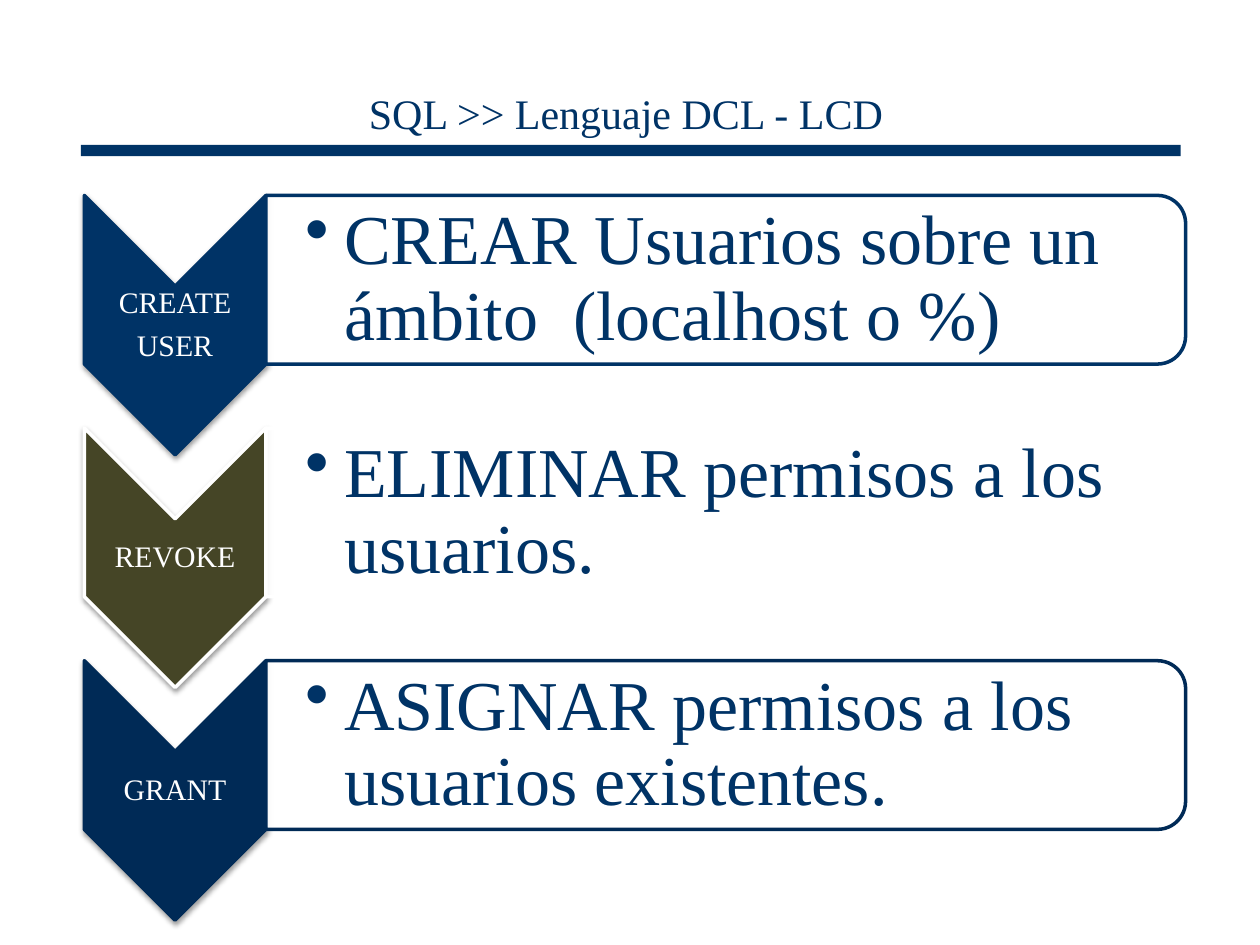
from pptx import Presentation
from pptx.dml.color import RGBColor
from pptx.enum.shapes import MSO_SHAPE
from pptx.enum.text import MSO_ANCHOR, MSO_AUTO_SIZE, PP_ALIGN
from pptx.oxml import parse_xml
from pptx.oxml.ns import nsdecls, qn
from pptx.util import Cm, Pt

TITLE = "SQL >> Lenguaje DCL - LCD"
COMMANDS = [
    (["CREATE", "USER"], "CREAR Usuarios sobre un ámbito  (localhost o %)", "navy", "navy"),
    (["REVOKE"], "ELIMINAR permisos a los usuarios.", "olive", "white"),
    (["GRANT"], "ASIGNAR permisos a los usuarios existentes.", "midnight", "midnight"),
]
COLORS = {"navy": "003366", "olive": "454526", "midnight": "002A56", "white": "FFFFFF"}
FONT = "Times New Roman"

FIRST_TOP, PITCH = 3.94, 4.69
CHEVRON_LEFT, CHEVRON_WIDTH, CHEVRON_HEIGHT = 1.7, 3.66, 5.23
PANEL_LEFT, PANEL_WIDTH, PANEL_HEIGHT = CHEVRON_LEFT + CHEVRON_WIDTH, 18.54, 3.4
KEYWORD_OFFSET, KEYWORD_HEIGHT = 1.83, 1.57
TEXT_OFFSET, TEXT_WIDTH, TEXT_HEIGHT = 0.17, 18.39, 3.07
INDENT = 0.79

TITLE_STYLE = {
    "size": 24, "color": "navy", "inset": (0.25, 0.13),
    "paragraph": {"alignment": PP_ALIGN.CENTER, "line_spacing": 0.85},
}
KEYWORD_STYLE = {
    "size": 17, "color": "white", "inset": (0.03, 0.03),
    "paragraph": {"alignment": PP_ALIGN.CENTER, "line_spacing": 0.9, "space_after": Pt(6)},
}
DESCRIPTION_STYLE = {
    "size": 40, "color": "navy", "inset": (INDENT, 0.08), "bullet": "•",
    "paragraph": {"alignment": PP_ALIGN.LEFT, "line_spacing": 0.9},
}
SHADOW = (
    f'<a:outerShdw {nsdecls("a")} blurRad="39370" dist="20320" dir="5400000" rotWithShape="0">'
    '<a:srgbClr val="000000"><a:alpha val="38000"/></a:srgbClr></a:outerShdw>'
)


def rgb(name):
    """Return the named colour."""
    return RGBColor.from_string(COLORS[name])


def set_all(target, values):
    """Set every attribute in values on target."""
    for name, value in values.items():
        setattr(target, name, value)


def add_bullet(paragraph, character):
    """Give a paragraph a hanging bullet."""
    properties = paragraph._p.get_or_add_pPr()
    properties.set("marL", str(Cm(INDENT)))
    properties.set("indent", str(-Cm(INDENT)))
    properties.append(parse_xml(f'<a:buChar {nsdecls("a")} char="{character}"/>'))


def write(holder, lines, style):
    """Fill a text holder with styled lines."""
    left, other = style["inset"]
    frame = holder.text_frame
    set_all(frame, {
        "word_wrap": True, "auto_size": MSO_AUTO_SIZE.NONE, "vertical_anchor": MSO_ANCHOR.MIDDLE,
        "margin_left": Cm(left), "margin_right": Cm(other),
        "margin_top": Cm(other), "margin_bottom": Cm(other),
    })
    frame.text = "\n".join(lines)
    for paragraph in frame.paragraphs:
        if "bullet" in style:
            add_bullet(paragraph, style["bullet"])
        set_all(paragraph, {"space_before": Pt(0), **style["paragraph"]})
        for run in paragraph.runs:
            set_all(run.font, {"name": FONT, "size": Pt(style["size"])})
            run.font.color.rgb = rgb(style["color"])


def add_solid(slide, preset, box, fill, outline=None):
    """Add a filled shape without shadow."""
    solid = slide.shapes.add_shape(preset, *map(Cm, box))
    solid.shadow.inherit = False
    solid.fill.solid()
    solid.fill.fore_color.rgb = rgb(fill)
    if outline:
        solid.line.color.rgb = rgb(outline)
        solid.line.width = Pt(2)
    else:
        solid.line.fill.background()
    return solid


def add_turned(slide, preset, box, fill, outline):
    """Add a shape turned a quarter that covers the given box."""
    left, top, width, height = box
    shift = (width - height) / 2
    turned = add_solid(slide, preset, (left + shift, top - shift, height, width), fill, outline)
    turned.rotation = 90
    return turned


def add_command(slide, top, keyword, description, fill, outline):
    """Add one chevron with its keyword, panel and description."""
    chevron = add_turned(slide, MSO_SHAPE.CHEVRON,
                         (CHEVRON_LEFT, top, CHEVRON_WIDTH, CHEVRON_HEIGHT), fill, outline)
    chevron._element.spPr.find(qn("a:effectLst")).append(parse_xml(SHADOW))
    label = slide.shapes.add_textbox(
        *map(Cm, (CHEVRON_LEFT, top + KEYWORD_OFFSET, CHEVRON_WIDTH, KEYWORD_HEIGHT)))
    write(label, keyword, KEYWORD_STYLE)

    panel = add_turned(slide, MSO_SHAPE.ROUND_2_SAME_RECTANGLE,
                       (PANEL_LEFT, top, PANEL_WIDTH, PANEL_HEIGHT), "white", outline)
    panel_color = panel._element.spPr.find(qn("a:solidFill"))[0]
    panel_color.append(parse_xml(f'<a:alpha {nsdecls("a")} val="90000"/>'))
    explanation = slide.shapes.add_textbox(
        *map(Cm, (PANEL_LEFT, top + TEXT_OFFSET, TEXT_WIDTH, TEXT_HEIGHT)))
    write(explanation, [description], DESCRIPTION_STYLE)


def main():
    """Build the slide and save it."""
    deck = Presentation()
    set_all(deck, {"slide_width": Cm(25.4), "slide_height": Cm(19.05)})
    slide = deck.slides.add_slide(deck.slide_layouts[5])
    heading = slide.shapes.title
    set_all(heading, {"left": Cm(0.51), "top": Cm(0.76), "width": Cm(24.1), "height": Cm(3.18)})
    write(heading, [TITLE], TITLE_STYLE)
    add_solid(slide, MSO_SHAPE.RECTANGLE, (1.63, 2.92, 22.17, 0.23), "navy")
    for row, command in enumerate(COMMANDS):
        add_command(slide, FIRST_TOP + row * PITCH, *command)
    deck.save("out.pptx")


if __name__ == "__main__":
    main()
